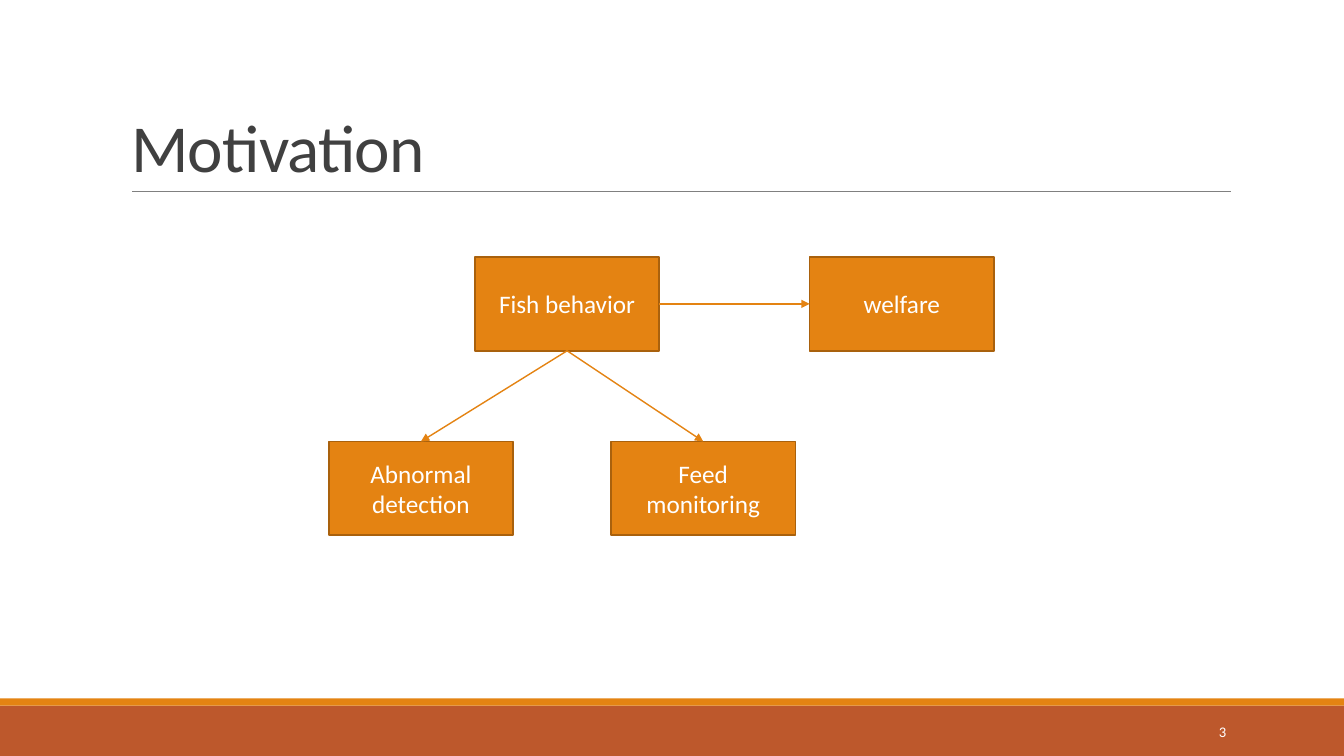
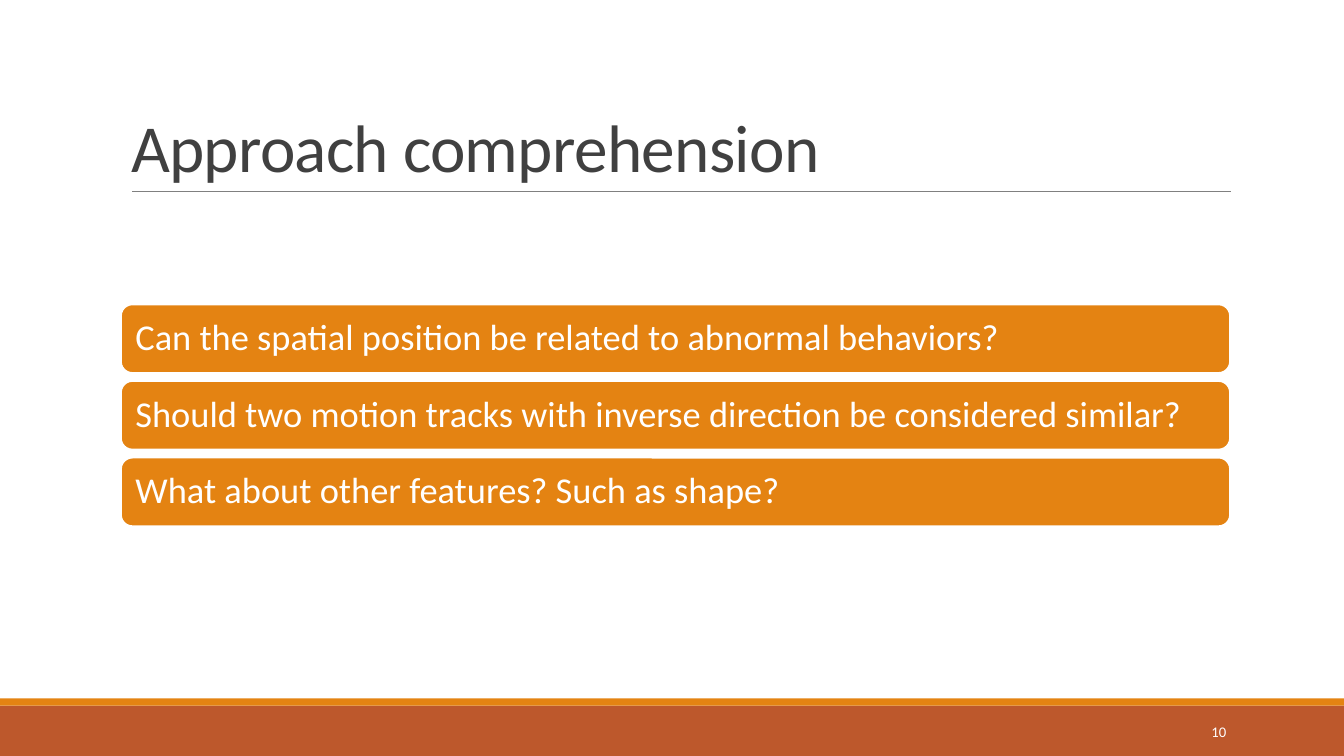
from dataclasses import dataclass

from lxml import etree
from pptx import Presentation
from pptx.dml.color import RGBColor
from pptx.enum import shapes, text
from pptx.oxml import ns
from pptx.util import Inches, Pt


@dataclass(frozen=True)
class Theme:
    font: str = "Calibri"
    accent: str = "E48312"
    accent_edge: str = "A9610D"
    footer: str = "BD582C"
    rule: str = "808080"
    title: str = "404040"
    light: str = "FFFFFF"
    title_size: float = 48
    row_size: float = 26
    box_size: float = 18
    number_size: float = 10.5


TOP, LEFT, BOTTOM, RIGHT = range(4)
BOX_WIDTH, BOX_HEIGHT = 1.83, 0.93
ROW_HEIGHT, ROW_GAP = 0.68, 0.08


class SlideBuilder:
    def __init__(self, deck, theme):
        self.deck = deck
        self.theme = theme
        self.page = None

    def start_page(self, title, number):
        """Add a slide with its title, rule, footer bands and number."""
        theme = self.theme
        self.page = self.deck.slides.add_slide(self.deck.slide_layouts[5])
        self.shape(0, 7, 13.33, 0.5, theme.footer)
        self.shape(0, 6.93, 13.33, 0.07, theme.accent)
        self.line((1.31, 1.9), (12.21, 1.9), theme.rule, 0.5)
        self.title(title)
        self.number(number)

    def title(self, words):
        heading = self.page.shapes.title
        heading.left, heading.top = Inches(1.2), Inches(0.31)
        heading.width, heading.height = Inches(11), Inches(1.59)
        heading.text_frame.auto_size = text.MSO_AUTO_SIZE.NONE
        span = self.add_text(heading, words, self.theme.title_size,
                             self.theme.title,
                             anchor=text.MSO_ANCHOR.BOTTOM, spacing=0.85)
        span.font._element.set("spc", "-50")

    def number(self, number):
        box = self.page.shapes.add_textbox(
            Inches(10.83), Inches(7.06), Inches(1.43), Inches(0.4))
        self.add_text(box, str(number), self.theme.number_size,
                      self.theme.light, align=text.PP_ALIGN.RIGHT)

    def add_text(self, box, words, size, color, align=text.PP_ALIGN.LEFT,
                 anchor=text.MSO_ANCHOR.MIDDLE, spacing=None):
        frame = box.text_frame
        frame.word_wrap = True
        frame.vertical_anchor = anchor
        para = frame.paragraphs[0]
        para.alignment = align
        para.line_spacing = spacing
        span = para.add_run()
        span.text = words
        span.font.name = self.theme.font
        span.font.size = Pt(size)
        span.font.color.rgb = RGBColor.from_string(color)
        return span

    def shape(self, left, top, width, height, fill, edge=None,
              kind=shapes.MSO_SHAPE.RECTANGLE):
        box = self.page.shapes.add_shape(
            kind, Inches(left), Inches(top), Inches(width), Inches(height))
        box.shadow.inherit = False
        box.fill.solid()
        box.fill.fore_color.rgb = RGBColor.from_string(fill)
        if edge:
            box.line.color.rgb = RGBColor.from_string(edge)
            box.line.width = Pt(1.25)
        else:
            box.line.fill.background()
        return box

    def node(self, left, top, words):
        theme = self.theme
        box = self.shape(left, top, BOX_WIDTH, BOX_HEIGHT,
                         theme.accent, theme.accent_edge)
        self.add_text(box, words, theme.box_size, theme.light,
                      align=text.PP_ALIGN.CENTER)
        return box

    def row(self, top, words):
        theme = self.theme
        box = self.shape(1.2, top, 11, ROW_HEIGHT, theme.accent, theme.light,
                         shapes.MSO_SHAPE.ROUNDED_RECTANGLE)
        frame = box.text_frame
        frame.margin_left = frame.margin_right = Inches(0.11)
        self.add_text(box, words, theme.row_size, theme.light, spacing=0.9)

    def line(self, start, end, color, width):
        line = self.page.shapes.add_connector(
            shapes.MSO_CONNECTOR.STRAIGHT,
            *(Inches(value) for value in (*start, *end)))
        line.line.color.rgb = RGBColor.from_string(color)
        line.line.width = Pt(width)
        etree.SubElement(line._element.spPr, ns.qn("a:effectLst"))
        return line

    def arrow(self, source, source_side, target, target_side):
        """Join two boxes, with the arrowhead at the target."""
        line = self.line((0, 0), (1, 1), self.theme.accent, 1)
        line.begin_connect(source, source_side)
        line.end_connect(target, target_side)
        outline = line._element.spPr.find(ns.qn("a:ln"))
        etree.SubElement(outline, ns.qn("a:tailEnd"), type="triangle")


def motivation(builder):
    builder.start_page("Motivation", 3)
    behavior = builder.node(4.71, 2.55, "Fish behavior")
    welfare = builder.node(8.03, 2.55, "welfare")
    abnormal = builder.node(3.26, 4.38, "Abnormal detection")
    feed = builder.node(6.06, 4.38, "Feed monitoring")
    builder.arrow(behavior, RIGHT, welfare, LEFT)
    for target in (abnormal, feed):
        builder.arrow(behavior, BOTTOM, target, TOP)


def approach(builder):
    builder.start_page("Approach comprehension", 10)
    questions = (
        "Can the spatial position be related to abnormal behaviors?",
        "Should two motion tracks with inverse direction be considered similar?",
        "What about other features? Such as shape?",
    )
    for index, question in enumerate(questions):
        builder.row(3.02 + index * (ROW_HEIGHT + ROW_GAP), question)


def main():
    deck = Presentation()
    deck.slide_width, deck.slide_height = Inches(13.33), Inches(7.5)
    builder = SlideBuilder(deck, Theme())
    motivation(builder)
    approach(builder)
    deck.save("out.pptx")


if __name__ == "__main__":
    main()
